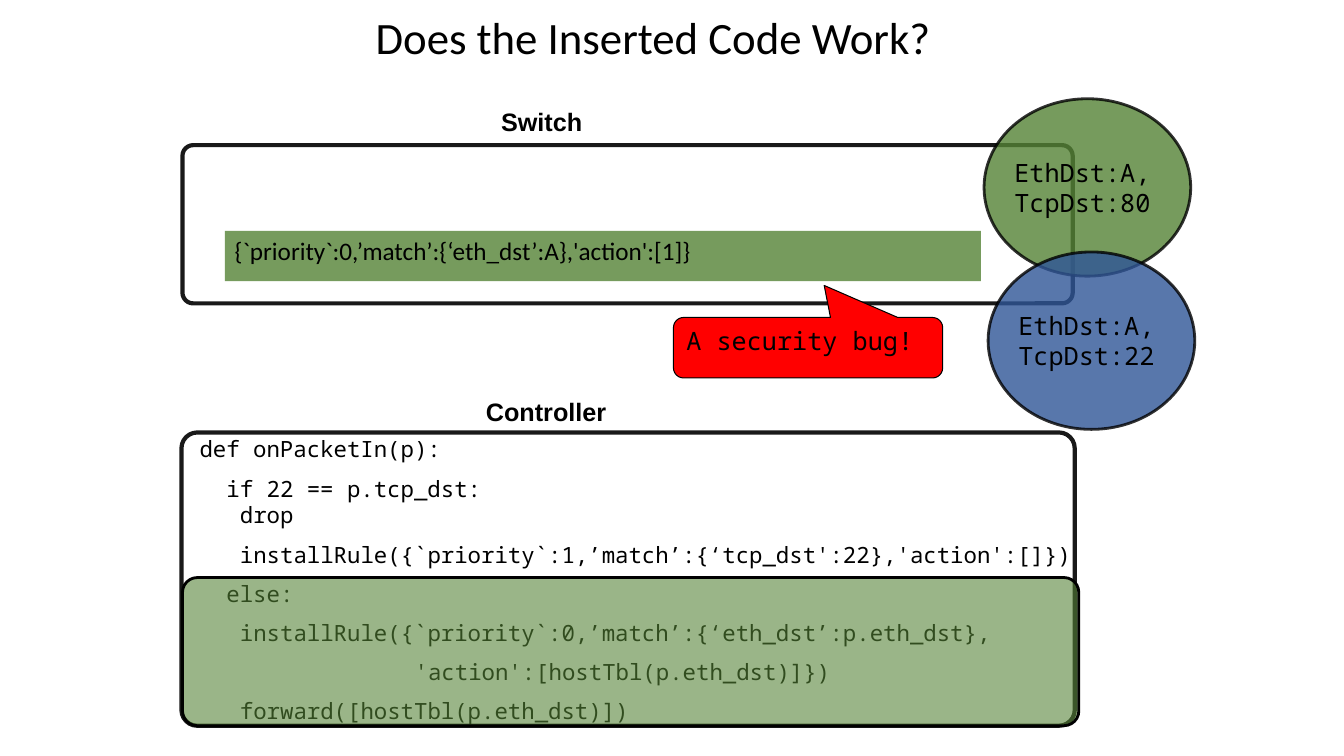
from dataclasses import dataclass

from lxml import etree
from pptx import Presentation
from pptx.dml.color import RGBColor
from pptx.enum.shapes import MSO_SHAPE
from pptx.enum.text import MSO_ANCHOR, MSO_AUTO_SIZE, PP_ALIGN
from pptx.oxml.ns import qn
from pptx.util import Pt

PX = 9144  # EMU; 100 px to the inch
CODE_CHARACTER = 9.6  # points, width of one 16 pt monospace character
MONO = "Noto Sans Mono"
COLORS = {"ink": "000000", "green": "548235", "blue": "2F5597", "red": "FF0000"}

ROUNDED = MSO_SHAPE.ROUNDED_RECTANGLE
RECTANGLE = MSO_SHAPE.RECTANGLE
ELLIPSE = MSO_SHAPE.OVAL
CALLOUT = MSO_SHAPE.ROUNDED_RECTANGULAR_CALLOUT
TOP, MIDDLE, BOTTOM = MSO_ANCHOR.TOP, MSO_ANCHOR.MIDDLE, MSO_ANCHOR.BOTTOM
LEFT, CENTER = PP_ALIGN.LEFT, PP_ALIGN.CENTER
FIT_SHAPE, FIXED = MSO_AUTO_SIZE.SHAPE_TO_FIT_TEXT, MSO_AUTO_SIZE.NONE


@dataclass
class Line:
    text: str
    indent: int = 0
    space_before: float = 0


@dataclass
class Box:
    """A preset shape; opacities are percentages."""
    kind: MSO_SHAPE
    place: tuple[int, int, int, int]
    fill: str = ""
    fill_opacity: int = 100
    line_width: float = 0
    line_opacity: int = 100
    adjustments: tuple[float, ...] = ()
    lines: tuple[str, ...] = ()
    font: str = MONO
    anchor: MSO_ANCHOR = TOP
    inset: tuple[int, int] = (10, 5)


@dataclass
class Label:
    text: str
    place: tuple[int, int, int, int]


LABELS = [
    Label("Controller", (482, 383, 160, 40)),
    Label("Switch", (497, 95, 109, 40)),
]
FRAMES = [
    Box(ROUNDED, (180, 429, 886, 291), line_width=3, line_opacity=90, adjustments=(0.054,)),
    Box(ROUNDED, (181, 144, 883, 157), line_width=3, line_opacity=90, adjustments=(0.068,)),
]
CODE_GAP = 8.8
CODE = [
    Line("def onPacketIn(p):", 0, CODE_GAP),
    Line("if 22 == p.tcp_dst:", 2, CODE_GAP),
    Line("drop", 3),
    Line("installRule({`priority`:1,’match’:{‘tcp_dst':22},'action':[]})", 3, CODE_GAP),
    Line("else:", 2, CODE_GAP),
    Line("installRule({`priority`:0,’match’:{‘eth_dst’:p.eth_dst},", 3, CODE_GAP),
    Line("'action':[hostTbl(p.eth_dst)]})", 16, CODE_GAP),
    Line("forward([hostTbl(p.eth_dst)])", 3, CODE_GAP),
]


def packet(left: int, top: int, color: str, port: int) -> Box:
    return Box(ELLIPSE, (left, top, 205, 176), color, 80, 2, 80,
               lines=("EthDst:A,", f"TcpDst:{port}"), anchor=MIDDLE, inset=(0, 0))


OVERLAYS = [
    packet(976, 98, "green", 80),
    Box(ROUNDED, (181, 573, 889, 147), "green", 59, 2, adjustments=(0.1,)),
    Box(RECTANGLE, (223, 229, 750, 50), "green", 80, font="Calibri",
        lines=("{`priority`:0,’match’:{‘eth_dst’:A},'action':[1]}",)),
    packet(980, 250, "blue", 22),
    Box(CALLOUT, (668, 315, 267, 60), "red", line_width=0.75,
        adjustments=(0.06, -1.03, 0.167), lines=("A security bug!",)),
]


def rgb(name: str) -> RGBColor:
    return RGBColor.from_string(COLORS[name])


def emu(place: tuple[int, ...]) -> list[int]:
    return [length * PX for length in place]


def set_opacity(parent, percent: int) -> None:
    if percent < 100:
        color = next(parent.iter(qn("a:srgbClr")))
        etree.SubElement(color, qn("a:alpha")).set("val", str(percent * 1000))


def set_frame(frame, anchor: MSO_ANCHOR, inset: tuple[int, int] = (0, 0),
              wrap: bool = True, auto_size: MSO_AUTO_SIZE = FIXED) -> None:
    horizontal, vertical = emu(inset)
    values = {"vertical_anchor": anchor, "word_wrap": wrap, "auto_size": auto_size,
              "margin_left": horizontal, "margin_right": horizontal,
              "margin_top": vertical, "margin_bottom": vertical}
    for name, value in values.items():
        setattr(frame, name, value)


def write_lines(frame, lines: list[Line], font: str, size: int,
                bold: bool = False, alignment: PP_ALIGN = LEFT) -> None:
    for index, line in enumerate(lines):
        paragraph = frame.add_paragraph() if index else frame.paragraphs[0]
        paragraph.alignment = alignment
        paragraph.space_before = Pt(line.space_before)
        if line.indent:
            properties = paragraph._p.get_or_add_pPr()
            properties.set("marL", str(Pt(line.indent * CODE_CHARACTER)))
            properties.set("indent", "0")
        run = paragraph.add_run()
        run.text = line.text
        for name, value in {"name": font, "size": Pt(size), "bold": bold}.items():
            setattr(run.font, name, value)
        run.font.color.rgb = rgb("ink")


def draw_box(slide, box: Box) -> None:
    shape = slide.shapes.add_shape(box.kind, *emu(box.place))
    shape.shadow.inherit = False
    for index, value in enumerate(box.adjustments):
        shape.adjustments[index] = value
    properties = shape.element.spPr
    if box.fill:
        shape.fill.solid()
        shape.fill.fore_color.rgb = rgb(box.fill)
        set_opacity(properties.find(qn("a:solidFill")), box.fill_opacity)
    else:
        shape.fill.background()
    if box.line_width:
        shape.line.width = Pt(box.line_width)
        shape.line.color.rgb = rgb("ink")
        set_opacity(properties.find(qn("a:ln")), box.line_opacity)
    else:
        shape.line.fill.background()
    if box.lines:
        set_frame(shape.text_frame, box.anchor, box.inset)
        write_lines(shape.text_frame, [Line(text) for text in box.lines], box.font, 18)


def draw_label(slide, label: Label) -> None:
    frame = slide.shapes.add_textbox(*emu(label.place)).text_frame
    set_frame(frame, BOTTOM, wrap=False, auto_size=FIT_SHAPE)
    write_lines(frame, [Line(label.text)], "Arial", 18, bold=True)


def draw_title(slide) -> None:
    title = slide.shapes.title
    title.left, title.top, title.width, title.height = emu((180, 2, 936, 75))
    set_frame(title.text_frame, MIDDLE, (10, 5))
    write_lines(title.text_frame, [Line("Does the Inserted Code Work?")], "Calibri", 32,
                alignment=CENTER)
    title.text_frame.paragraphs[0].line_spacing = 0.9


def draw_code(slide) -> None:
    frame = slide.shapes.add_textbox(*emu((198, 432, 884, 278))).text_frame
    set_frame(frame, TOP)
    write_lines(frame, CODE, MONO, 16)


def main() -> None:
    presentation = Presentation()
    presentation.slide_width, presentation.slide_height = emu((1333, 750))
    slide = presentation.slides.add_slide(presentation.slide_layouts.get_by_name("Title Only"))
    draw_title(slide)
    for label in LABELS:
        draw_label(slide, label)
    for frame in FRAMES:
        draw_box(slide, frame)
    draw_code(slide)
    for overlay in OVERLAYS:
        draw_box(slide, overlay)
    presentation.save("out.pptx")


if __name__ == "__main__":
    main()
